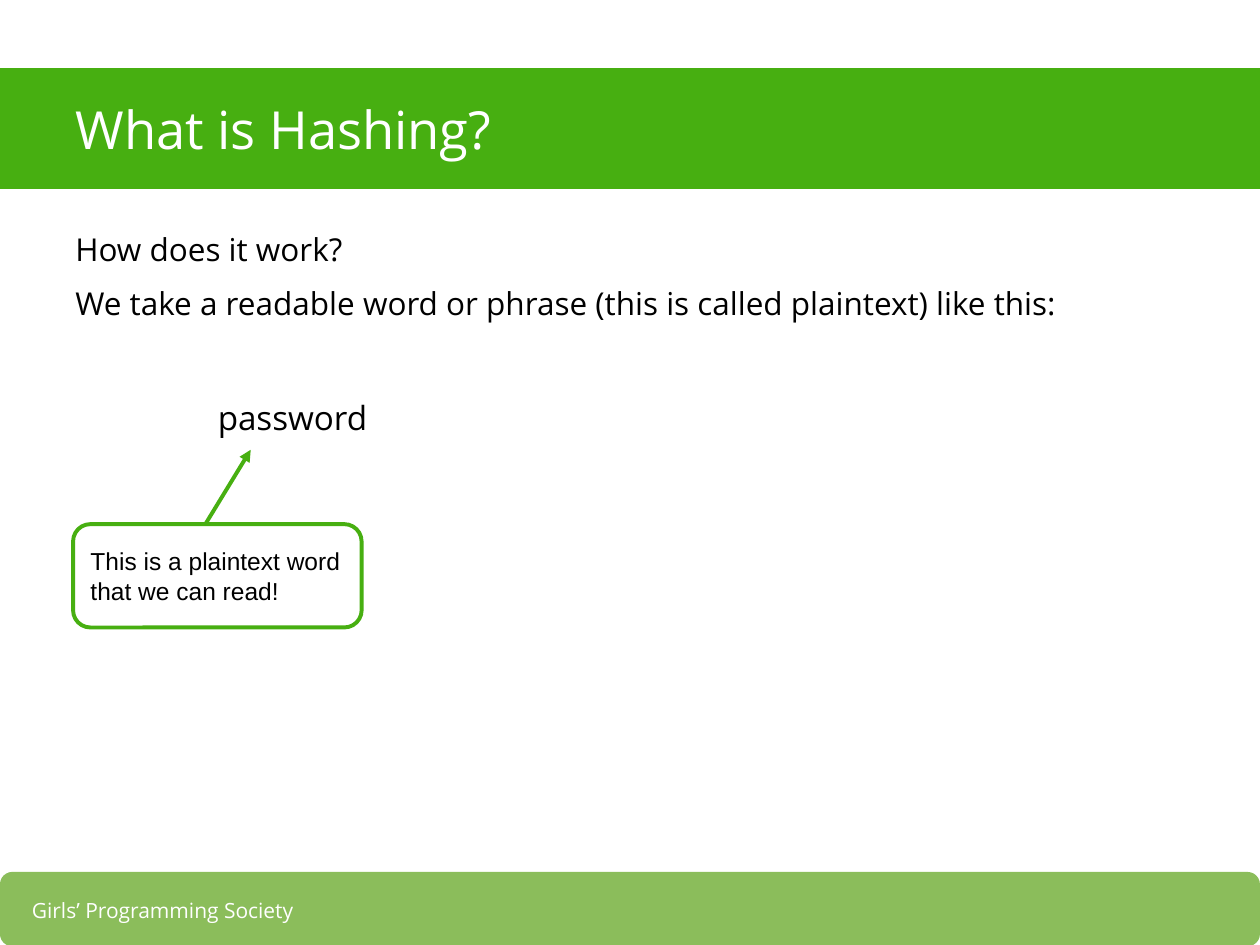
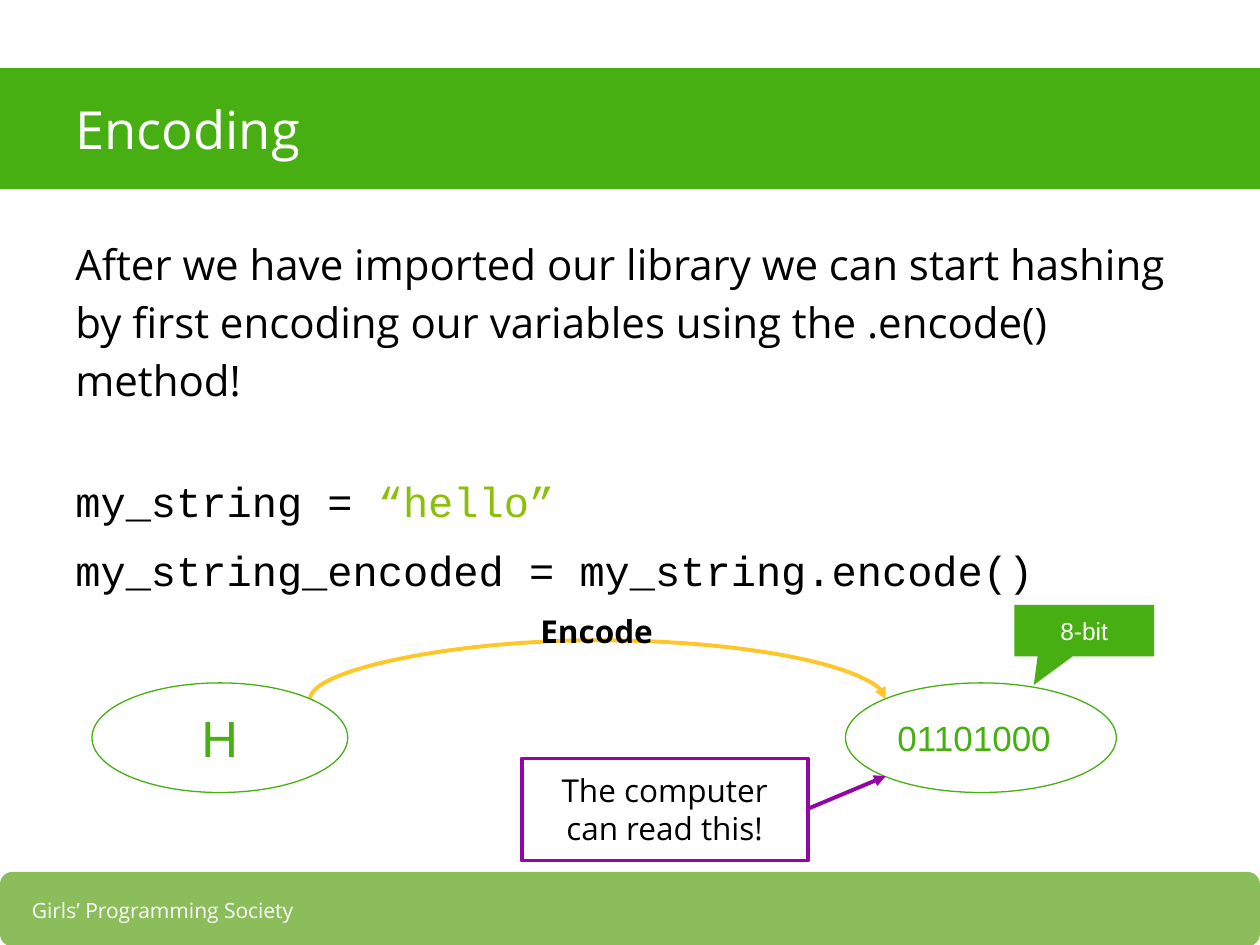
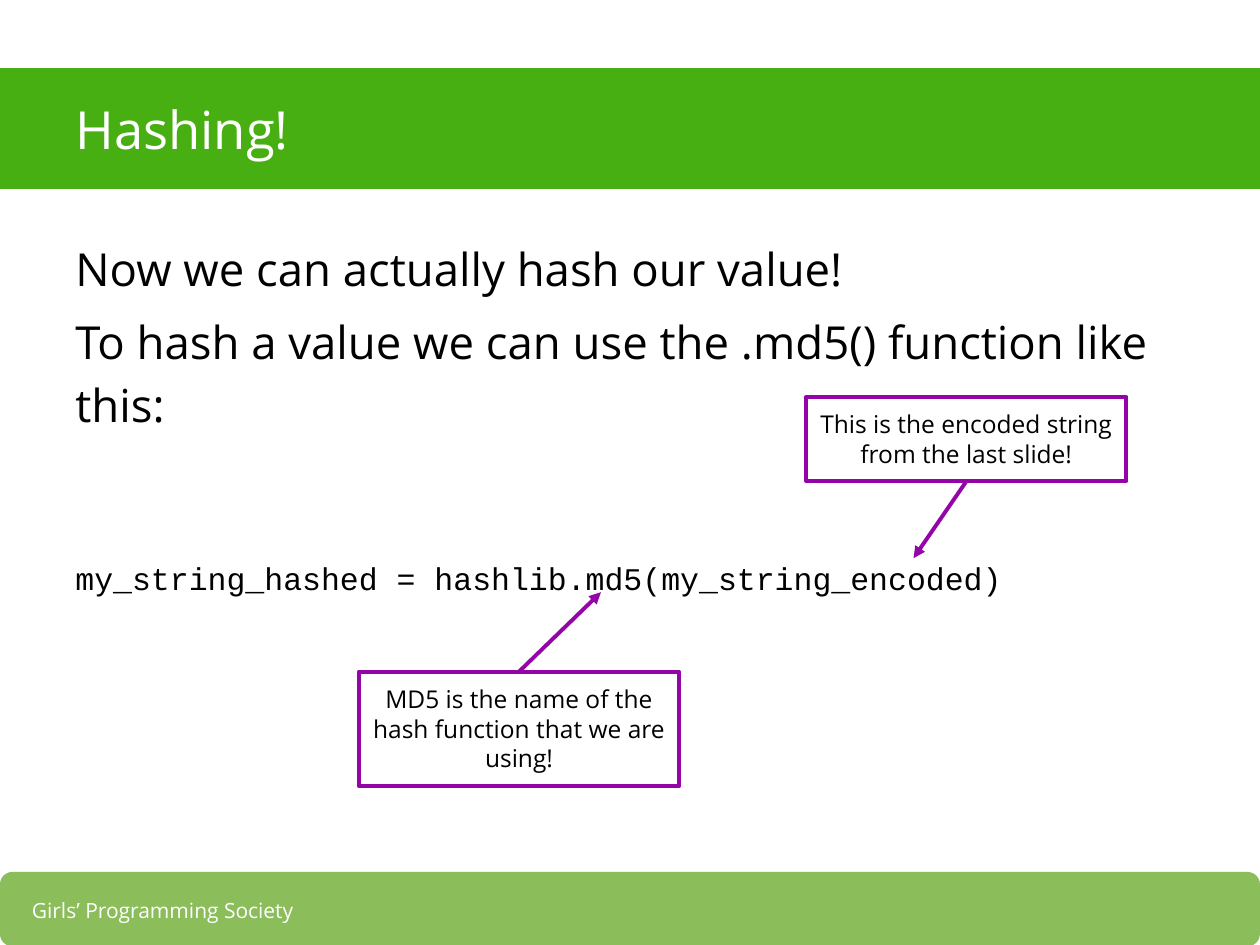
"""Three lesson slides on hashing and encoding, laid out on a grid of 100 columns by 75 rows."""
from lxml import etree
from pptx import Presentation
from pptx import util as u
from pptx.dml.color import RGBColor
from pptx.enum import shapes, text
from pptx.oxml import ns

COLOURS = {"green": "47AF11", "sage": "8BBD5B", "lime": "8AC007", "purple": "9305A6",
           "yellow": "FFC629", "black": "000000", "white": "FFFFFF"}
SANS, PLAIN, CODE = "Open Sans", "Arial", "Courier New"
FOOTER = "Girls’ Programming Society"
COLUMNS = 100
BAND = (-0.7, 5.4, 101.2, 9.6)
TITLE = (5, 5.4, 90, 9.6)
FOOTER_BAND = (0, 69.2, 100, 5.9)
FOOTER_TEXT = (0, 70.3, 24.3, 3.8)
BODY = {"spacing": 1.15, "before": 6}
NOTE = {"kind": "RECTANGLE", "line": "purple", "align": "CENTER", "anchor": "TOP"}
OVAL = {"kind": "OVAL", "line": "green", "weight": 0.75, "font": PLAIN, "colour": "green"}

SLIDES = [
    {"title": "What is Hashing?",
     "boxes": [
         {"at": (5, 16.8, 90, 51.7), "size": 18, **BODY,
          "lines": ["How does it work?",
                    "We take a readable word or phrase (this is called plaintext) like this:"]},
         {"at": (16.3, 30.5, 13.9, 5.2), "size": 19, "lines": ["password"]},
         {"at": (5.8, 41.6, 22.9, 8.2), "kind": "ROUNDED_RECTANGLE", "fill": "white",
          "line": "green", "size": 14, "font": PLAIN,
          "lines": ["This is a plaintext word that we can read!"]}],
     "arrows": [((16.3, 41.6), (19.9, 35.7), "green")]},
    {"title": "Encoding",
     "arc": {"start": 24.6, "end": 70.3, "row": 55.5, "rise": 3.9, "colour": "yellow"},
     "boxes": [
         {"at": (5, 17.3, 90, 18.8), "size": 24, **BODY,
          "lines": ["After we have imported our library we can start hashing by first "
                    "encoding our variables using the .encode() method!"]},
         {"at": (5, 36.15, 90, 12), "size": 24, "font": CODE, **BODY,
          "lines": [[("my_string = ", "black"), ("“hello”", "lime")],
                    "my_string_encoded = my_string.encode()"]},
         {"at": (7.3, 54.2, 20.3, 8.7), **OVAL, "size": 29, "align": "CENTER", "lines": ["H"]},
         {"at": (67.1, 54.2, 21.5, 8.7), **OVAL, "size": 20, "lines": ["01101000"]},
         {"at": (37.8, 47.6, 19.1, 5), "size": 18, "bold": True, "align": "CENTER",
          "lines": ["Encode"]},
         {"at": (41.4, 60.2, 22.7, 8.1), **NOTE, "size": 18,
          "lines": ["The computer can read this!"]},
         {"at": (80.5, 48, 11.1, 4.1), "kind": "RECTANGULAR_CALLOUT", "fill": "green",
          "adjust": (-0.36, 1.05), "size": 14, "font": PLAIN, "colour": "white",
          "align": "CENTER", "lines": ["8-bit"]}],
     "arrows": [((64.1, 64.2), (70.3, 61.6), "purple")]},
    {"title": "Hashing!",
     "boxes": [
         {"at": (5, 17.5, 90, 49), "size": 26, **BODY,
          "lines": ["Now we can actually hash our value!",
                    "To hash a value we can use the .md5() function like this:"]},
         {"at": (64, 31.5, 25.4, 6.7), **NOTE, "size": 14,
          "lines": ["This is the encoded string from the last slide!"]},
         {"at": (5, 42.9, 90, 5), "size": 18, "font": CODE, **BODY,
          "lines": ["my_string_hashed = hashlib.md5(my_string_encoded)"]},
         {"at": (28.5, 53.3, 25.4, 9.1), **NOTE, "size": 14,
          "lines": ["MD5 is the name of the hash function that we are using!"]}],
     "arrows": [((76.7, 38.2), (72.5, 44.3), "purple"),
                ((41.2, 53.3), (47.7, 47), "purple")]},
]

deck = Presentation()
deck.slide_width, deck.slide_height = u.Inches(10), u.Inches(7.5)
cell = deck.slide_width / COLUMNS


def grid(*values):
    return [round(value * cell) for value in values]


def rgb(name):
    return RGBColor.from_string(COLOURS[name])


def write(box, lines, size, font=SANS, colour="black", bold=False, align="LEFT",
          anchor="TOP", spacing=None, before=0):
    frame = box.text_frame
    frame.word_wrap = True
    frame.auto_size = text.MSO_AUTO_SIZE.NONE
    frame.vertical_anchor = getattr(text.MSO_ANCHOR, anchor)
    frame.margin_left = frame.margin_right = frame.margin_top = frame.margin_bottom = u.Inches(0.1)
    for index, line in enumerate(lines):
        para = frame.add_paragraph() if index else frame.paragraphs[0]
        para.alignment = getattr(text.PP_ALIGN, align)
        para.line_spacing, para.space_before = spacing, u.Pt(before)
        spans = [(line, colour)] if isinstance(line, str) else line
        for words, tint in spans:
            span = para.add_run()
            span.text = words
            span.font.name, span.font.size, span.font.bold = font, u.Pt(size), bold
            span.font.color.rgb = rgb(tint)


def add_box(page, at, kind=None, fill=None, line=None, weight=2.25, adjust=(), lines=(), **style):
    if kind is None:
        box = page.shapes.add_textbox(*grid(*at))
    else:
        box = page.shapes.add_shape(getattr(shapes.MSO_SHAPE, kind), *grid(*at))
        box.shadow.inherit = False
        for index, value in enumerate(adjust):
            box.adjustments[index] = value
        if fill:
            box.fill.solid()
            box.fill.fore_color.rgb = rgb(fill)
        else:
            box.fill.background()
        if line:
            box.line.color.rgb, box.line.width = rgb(line), u.Pt(weight)
        else:
            box.line.fill.background()
        style.setdefault("anchor", "MIDDLE")
    if lines:
        write(box, lines, **style)


def add_arrow(page, kind, ends, colour):
    arrow = page.shapes.add_connector(kind, *ends)
    arrow.line.color.rgb, arrow.line.width = rgb(colour), u.Pt(2.25)
    outline = arrow.element.xpath(".//a:ln")[0]
    etree.SubElement(outline, ns.qn("a:tailEnd"), type="triangle")
    etree.SubElement(outline.getparent(), ns.qn("a:effectLst"))
    return arrow


def add_arc(page, start, end, row, rise, colour):
    middle, half, sliver = (start + end) / 2, (end - start) / 2, 600
    left, top, bottom, height = grid(middle, row - half, row + half, rise)
    arc = add_arrow(page, shapes.MSO_CONNECTOR.CURVE, (left + sliver, top, left, bottom), colour)
    arc.element.xpath(".//a:xfrm")[0].set("rot", str(270 * 60000))
    bend = -round(height / sliver * 100000)
    etree.SubElement(arc.element.xpath(".//a:avLst")[0], ns.qn("a:gd"),
                     name="adj1", fmla=f"val {bend}")


def add_page(title):
    page = deck.slides.add_slide(deck.slide_layouts[5])
    add_box(page, FOOTER_BAND, "ROUNDED_RECTANGLE", "sage")
    add_box(page, FOOTER_TEXT, lines=[FOOTER], size=12, colour="white", align="RIGHT",
            anchor="MIDDLE")
    add_box(page, BAND, "RECTANGLE", "green")
    heading = page.shapes.title
    heading.element.getparent().append(heading.element)
    heading.left, heading.top, heading.width, heading.height = grid(*TITLE)
    write(heading, [title], 30, colour="white", anchor="MIDDLE")
    return page


for content in SLIDES:
    page = add_page(content["title"])
    if "arc" in content:
        add_arc(page, **content["arc"])
    for box in content["boxes"]:
        add_box(page, **box)
    for start, end, colour in content["arrows"]:
        add_arrow(page, shapes.MSO_CONNECTOR.STRAIGHT, grid(*start, *end), colour)

deck.save("out.pptx")
